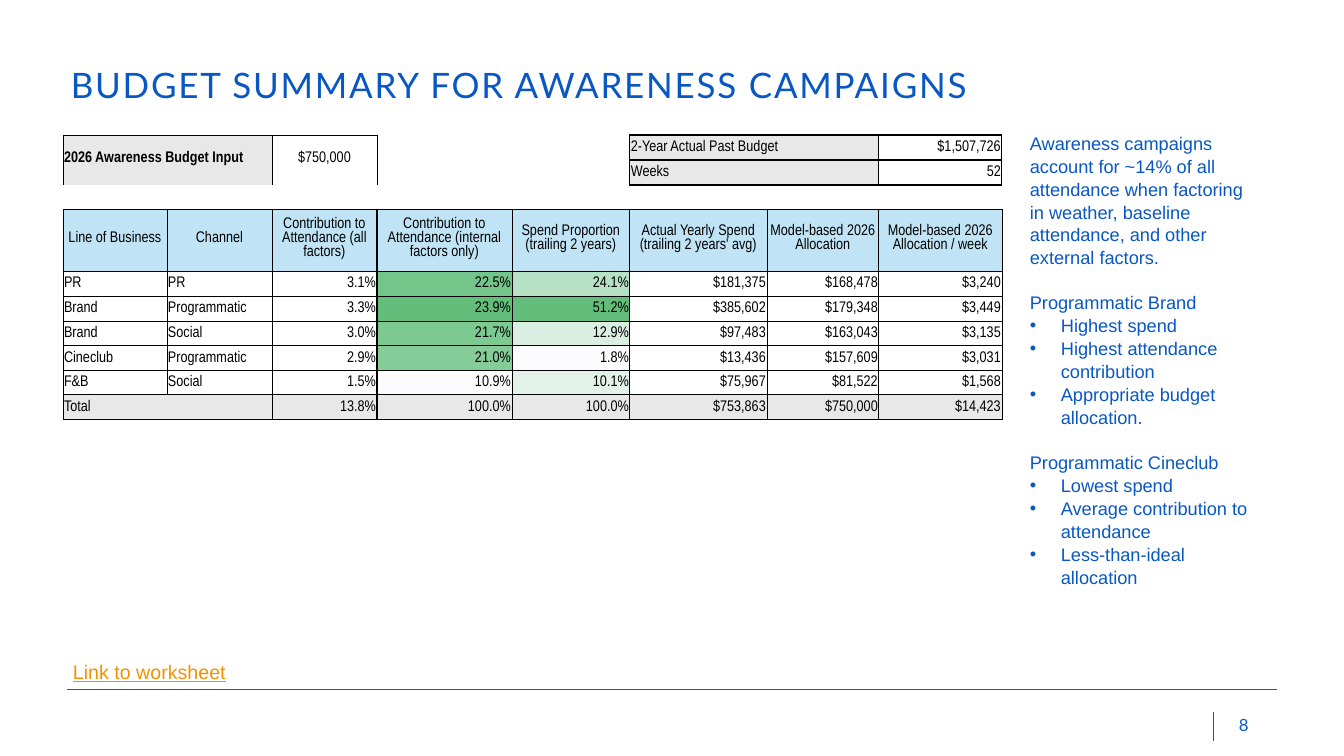
from pptx import Presentation
from pptx.dml.color import RGBColor
from pptx.enum.text import MSO_ANCHOR as Anchor, PP_ALIGN as Align
from pptx.oxml import parse_xml
from pptx.oxml.ns import nsdecls, qn
from pptx.util import Emu, Pt
from lxml.etree import SubElement

SCALE = 914400 / 100.8  # EMU in one px
COLORS = {
    "blue": "0857C3", "orange": "F49100", "black": "000000", "white": "FFFFFF",
    "gray": "E8E8E8", "header": "C0E4F5",
}
COLUMN_WIDTHS = [104, 105, 105, 135, 118, 137, 112, 123]
ROW_HEIGHTS = [25, 25, 24, 62, 24, 25, 24, 25, 24, 25]
HEADER_ROW = 3
PLAIN_STYLE = "{2D5ABB26-0587-4C30-8999-92F81FD0307C}"

HEADINGS = [
    "Line of Business", "Channel", "Contribution to Attendance (all factors)",
    "Contribution to Attendance (internal factors only)",
    "Spend Proportion (trailing 2 years)",
    "Actual Yearly Spend (trailing 2 years' avg)",
    "Model-based 2026 Allocation", "Model-based 2026 Allocation / week",
]
CAMPAIGNS = [
    ["PR", "PR", "3.1%", "22.5%", "24.1%", "$181,375", "$168,478", "$3,240"],
    ["Brand", "Programmatic", "3.3%", "23.9%", "51.2%", "$385,602", "$179,348", "$3,449"],
    ["Brand", "Social", "3.0%", "21.7%", "12.9%", "$97,483", "$163,043", "$3,135"],
    ["Cineclub", "Programmatic", "2.9%", "21.0%", "1.8%", "$13,436", "$157,609", "$3,031"],
    ["F&B", "Social", "1.5%", "10.9%", "10.1%", "$75,967", "$81,522", "$1,568"],
]
# Colour scale behind the two share columns, one pair for each campaign
HEAT = [("74C58A", "B7E1C4"), ("63BE7B", "63BE7B"), ("7DC992", "DAEEE2"),
        ("85CC99", "FCFCFF"), ("FCFCFF", "E3F2E9")]
TOTALS = ["13.8%", "100.0%", "100.0%", "$753,863", "$750,000", "$14,423"]

INTRO = ("Awareness campaigns account for ~14% of all attendance when factoring "
         "in weather, baseline attendance, and other external factors.")
FINDINGS = {
    "Programmatic Brand": ["Highest spend", "Highest attendance contribution",
                           "Appropriate budget allocation."],
    "Programmatic Cineclub": ["Lowest spend", "Average contribution to attendance",
                              "Less-than-ideal allocation"],
}


def px(length):
    return Emu(round(length * SCALE))


def color(name):
    return RGBColor.from_string(COLORS.get(name, name))


def write(para, text, size=13, font="Arial", ink="blue", bold=False, underline=False,
          align=None, spacing=None, line=None, before=None, bullet=False):
    """Put formatted text in a paragraph."""
    if bullet:
        props = para._p.get_or_add_pPr()
        props.set("marL", str(px(31)))
        props.set("indent", str(-px(31)))
        SubElement(props, qn("a:buFont")).set("typeface", "Arial")
        SubElement(props, qn("a:buChar")).set("char", "•")
    if align is not None:
        para.alignment = align
    if line:
        para.line_spacing = line
    if before:
        para.space_before = Pt(before)
    span = para.add_run()
    span.text = text
    span.font.size = Pt(size)
    span.font.name = font
    span.font.bold = bold
    span.font.underline = underline
    span.font.color.rgb = color(ink)
    if spacing:
        span._r.get_or_add_rPr().set("spc", str(round(spacing * 100)))


def add_box(page, left, top, width, height, anchor=Anchor.TOP, wrap=True):
    box = page.shapes.add_textbox(px(left), px(top), px(width), px(height))
    box.text_frame.word_wrap = wrap
    box.text_frame.vertical_anchor = anchor
    return box.text_frame


def add_rule(page, x1, y1, x2, y2):
    rule = page.shapes.add_connector(1, px(x1), px(y1), px(x2), px(y2))
    rule.line.color.rgb = color("blue")
    rule.line.width = Pt(0.75)
    SubElement(rule._element.spPr, qn("a:effectLst"))


def border(cell, side, points):
    cell._tc.get_or_add_tcPr().append(parse_xml(
        f'<a:ln{side} {nsdecls("a")} w="{Pt(points)}"><a:solidFill>'
        f'<a:srgbClr val="{COLORS["black"]}"/></a:solidFill></a:ln{side}>'))


def frame(table, row, col, rows, cols):
    """Outline a block of cells; the heavier lines set column groups apart."""
    summary = row < 2 and col >= 5
    for r in range(row, row + rows):
        for c in range(col, col + cols):
            side_weight = {edge: 1 if summary or (r >= HEADER_ROW and edge in (3, 5, 7))
                           else 0.5 for edge in (c, c + 1)}
            level_weight = {edge: 1 if summary or (edge in (HEADER_ROW, 10) and 3 <= c <= 6)
                            else 0.5 for edge in (r, r + 1)}
            cell = table.cell(r, c)
            if c == col:
                border(cell, "L", side_weight[c])
            if c == col + cols - 1:
                border(cell, "R", side_weight[c + 1])
            if r == row:
                border(cell, "T", level_weight[r])
            if r == row + rows - 1:
                border(cell, "B", level_weight[r + 1])


def fill_cell(table, row, col, text, fill="white", rows=1, cols=1, merge=True,
              anchor=Anchor.BOTTOM, align=Align.LEFT, bold=False):
    frame(table, row, col, rows, cols)
    cell = table.cell(row, col)
    if merge and rows * cols > 1:
        cell.merge(table.cell(row + rows - 1, col + cols - 1))
    for r in range(row, row + rows):
        for c in range(col, col + cols):
            table.cell(r, c).fill.solid()
            table.cell(r, c).fill.fore_color.rgb = color(fill)
    cell.vertical_anchor = anchor
    write(cell.text_frame.paragraphs[0], text, size=11, font="Arial Narrow",
          ink="black", align=align, bold=bold)


def add_budget_table(page, left, top):
    shape = page.shapes.add_table(len(ROW_HEIGHTS), len(COLUMN_WIDTHS), px(left), px(top),
                                  px(sum(COLUMN_WIDTHS)), px(sum(ROW_HEIGHTS)))
    table = shape.table
    table.first_row = table.horz_banding = False
    table._tbl.tblPr.find(qn("a:tableStyleId")).text = PLAIN_STYLE
    for column, width in zip(table.columns, COLUMN_WIDTHS):
        column.width = px(width)
    for row, height in zip(table.rows, ROW_HEIGHTS):
        row.height = px(height)
    for cell in table.iter_cells():
        cell.margin_left = cell.margin_right = cell.margin_top = px(1)
        cell.margin_bottom = px(5)

    # Budget input and past budget
    fill_cell(table, 0, 0, "2026 Awareness Budget Input", "gray", rows=2, cols=2,
              anchor=Anchor.MIDDLE, bold=True)
    fill_cell(table, 0, 2, "$750,000", rows=2, anchor=Anchor.MIDDLE, align=Align.CENTER)
    for row, (label, value) in enumerate([("2-Year Actual Past Budget", "$1,507,726"),
                                          ("Weeks", "52")]):
        fill_cell(table, row, 5, label, "gray", cols=2)
        fill_cell(table, row, 7, value, align=Align.RIGHT)

    # Headings, campaigns and totals
    for col, heading in enumerate(HEADINGS):
        fill_cell(table, HEADER_ROW, col, heading, "header",
                  anchor=Anchor.MIDDLE, align=Align.CENTER)
    for row, (values, shades) in enumerate(zip(CAMPAIGNS, HEAT), HEADER_ROW + 1):
        fills = dict(zip((3, 4), shades))
        for col, value in enumerate(values):
            fill_cell(table, row, col, value, fills.get(col, "white"),
                      align=Align.LEFT if col < 2 else Align.RIGHT)
    total_row = len(ROW_HEIGHTS) - 1
    fill_cell(table, total_row, 0, "Total", "gray", cols=2, merge=False)
    for col, value in enumerate(TOTALS, 2):
        fill_cell(table, total_row, col, value, "gray", align=Align.RIGHT)

    # Small type keeps the empty cells from stretching their rows
    for cell in table.iter_cells():
        if not cell.text_frame.text:
            SubElement(cell.text_frame.paragraphs[0]._p, qn("a:endParaRPr")).set("sz", "1100")


def add_title(page, left, top, width, height):
    text = add_box(page, left, top, width, height, anchor=Anchor.MIDDLE)
    write(text.paragraphs[0], "BUDGET SUMMARY FOR AWARENESS CAMPAIGNS",
          size=25, font="Lato", spacing=1.3)


def add_findings(page, left, top, width, height):
    text = add_box(page, left, top, width, height)
    write(text.paragraphs[0], INTRO, line=1.05)
    for heading, points in FINDINGS.items():
        write(text.add_paragraph(), heading, line=1.05, before=15.7)
        for point in points:
            write(text.add_paragraph(), point, line=1.05, bullet=True)


def add_footer(page, left, top, width):
    add_rule(page, left, top, left + width, top)
    add_rule(page, left + 1147, top + 22, left + 1147, top + 51)
    link = add_box(page, left - 4, top - 35, 243, 34)
    write(link.paragraphs[0], "Link to worksheet", size=14, ink="orange",
          underline=True, align=Align.JUSTIFY)
    number = add_box(page, left + 1162, top + 20, 44, 30, wrap=False)
    write(number.paragraphs[0], "8", size=12, font="Lato", spacing=1.3)


def main():
    deck = Presentation()
    deck.slide_width, deck.slide_height = px(1344), px(756)
    page = deck.slides.add_slide(deck.slide_layouts[6])
    add_footer(page, 67, 690, 1210)
    add_title(page, 61, 32, 1200, 104)
    add_findings(page, 1020, 126, 251, 452)
    add_budget_table(page, 63, 135)
    deck.save("out.pptx")


if __name__ == "__main__":
    main()
